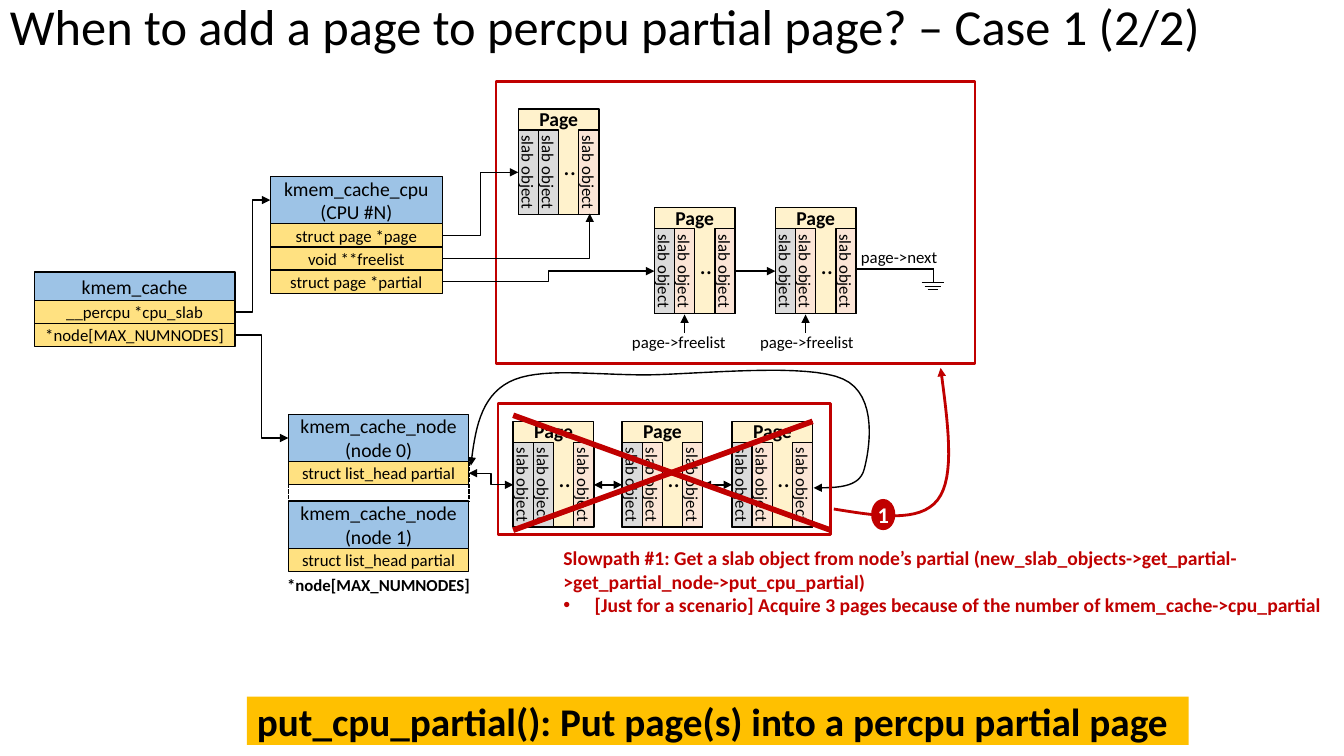
from lxml.etree import SubElement
from pptx import Presentation
from pptx.dml.color import RGBColor
from pptx.enum.dml import MSO_LINE
from pptx.enum.shapes import MSO_CONNECTOR, MSO_SHAPE
from pptx.enum.text import MSO_ANCHOR, PP_ALIGN
from pptx.oxml.ns import qn
from pptx.util import Inches, Pt

BLACK = RGBColor(0x00, 0x00, 0x00)
WHITE = RGBColor(0xFF, 0xFF, 0xFF)
RED = RGBColor(0xC0, 0x00, 0x00)
BLUE = RGBColor(0x9D, 0xC3, 0xE6)
YELLOW = RGBColor(0xFF, 0xE1, 0x81)
CREAM = RGBColor(0xFF, 0xF2, 0xCC)
GRAY = RGBColor(0xDB, 0xDB, 0xDB)
PEACH = RGBColor(0xFB, 0xE5, 0xD6)
AMBER = RGBColor(0xFF, 0xC0, 0x00)
ROW_HEIGHT = 0.23
PAGE_WIDTH, PAGE_HEIGHT = 0.8, 1.05
SLAB_WIDTH, SLAB_HEIGHT = 0.2, 0.84


def write(shape, text, size, color=BLACK, bold=False, align=PP_ALIGN.LEFT, insets=(0.1, 0.05)):
    """Fill a shape with text in a single style."""
    frame = shape.text_frame
    frame.word_wrap = True
    frame.margin_left = frame.margin_right = Inches(insets[0])
    frame.margin_top = frame.margin_bottom = Inches(insets[1])
    frame.text = text
    for paragraph in frame.paragraphs:
        paragraph.alignment = align
        for run in paragraph.runs:
            run.font.name = "Calibri"
            run.font.size = Pt(size)
            run.font.bold = bold
            run.font.color.rgb = color


def add_label(shapes, box, text, size, **style):
    """Add a text box."""
    label = shapes.add_textbox(*map(Inches, box))
    write(label, text, size, **style)
    return label


def add_box(shapes, box, fill=None, line=BLACK, width=1, kind=MSO_SHAPE.RECTANGLE):
    """Add a flat shape with an optional fill and outline."""
    shape = shapes.add_shape(kind, *map(Inches, box))
    shape.shadow.inherit = False
    shape.text_frame.vertical_anchor = MSO_ANCHOR.MIDDLE
    if fill is None:
        shape.fill.background()
    else:
        shape.fill.solid()
        shape.fill.fore_color.rgb = fill
    if line is None:
        shape.line.fill.background()
    else:
        shape.line.color.rgb = line
        shape.line.width = Pt(width)
    return shape


def add_arrowheads(shape, ends):
    """Put triangles on the named ends of a line."""
    outline = shape._element.spPr.find(qn("a:ln"))
    for end in ends:
        SubElement(outline, qn(f"a:{end}End"), type="triangle")


def add_line(shapes, start, end, ends=(), color=BLACK, width=1, kind=MSO_CONNECTOR.STRAIGHT,
             source=None, target=None):
    """Add a connector, joined to the right side of source and left side of target."""
    connector = shapes.add_connector(kind, *map(Inches, (*start, *end)))
    if source is not None:
        connector.begin_connect(source, 3)
    if target is not None:
        connector.end_connect(target, 1)
    connector.line.color.rgb = color
    connector.line.width = Pt(width)
    add_arrowheads(connector, ends)
    SubElement(connector._element.spPr, qn("a:effectLst"))
    return connector


def add_curve(shapes, start, segments, ends, color=BLACK, width=1, steps=16):
    """Draw a smooth open path through cubic segments of two controls and an end."""
    points = []
    corner = start
    for knots in segments:
        knots = (corner, *knots)
        for step in range(1, steps + 1):
            t = step / steps
            weights = ((1 - t) ** 3, 3 * t * (1 - t) ** 2, 3 * t ** 2 * (1 - t), t ** 3)
            points.append(tuple(Inches(sum(weight * knot[axis] for weight, knot in zip(weights, knots)))
                                for axis in (0, 1)))
        corner = knots[-1]
    builder = shapes.build_freeform(Inches(start[0]), Inches(start[1]))
    builder.add_line_segments(points, close=False)
    curve = builder.convert_to_shape()
    curve.shadow.inherit = False
    curve.fill.background()
    curve.line.color.rgb = color
    curve.line.width = Pt(width)
    add_arrowheads(curve, ends)


def add_struct(shapes, left, top, width, header_height, name, fields):
    """Stack a struct header over its fields and return all the boxes."""
    header = add_box(shapes, (left, top, width, header_height), BLUE)
    write(header, name, 14, align=PP_ALIGN.CENTER, insets=(0.01, 0.05))
    boxes = [header]
    for index, field in enumerate(fields):
        row_top = top + header_height + index * ROW_HEIGHT
        row = add_box(shapes, (left, row_top, width, ROW_HEIGHT), YELLOW)
        write(row, field, 12, align=PP_ALIGN.CENTER, insets=(0.05, 0.02))
        boxes.append(row)
    return boxes


def add_page(shapes, left, top, second_slab=PEACH):
    """Group one page with its title, three slab objects and dots."""
    page = shapes.add_group_shape().shapes
    add_box(page, (left, top, PAGE_WIDTH, PAGE_HEIGHT), CREAM)
    for column, fill in ((0, GRAY), (1, second_slab), (3, PEACH)):
        center_x = left + (column + 0.5) * SLAB_WIDTH
        center_y = top + PAGE_HEIGHT - SLAB_HEIGHT / 2
        slab = add_box(page, (center_x - SLAB_HEIGHT / 2, center_y - SLAB_WIDTH / 2,
                              SLAB_HEIGHT, SLAB_WIDTH), fill)
        slab.rotation = 90
        write(slab, "slab object", 12, align=PP_ALIGN.CENTER, insets=(0.05, 0))
    add_label(page, (left + 0.35, top + 0.36, 0.44, 0.4), "..", 18)
    add_label(page, (left + 0.11, top - 0.07, 0.61, 0.34), "Page", 14, bold=True)


def add_structs(shapes):
    """Draw the cache structs on the left, their links and their arrows to pages."""
    elbow = {"kind": MSO_CONNECTOR.ELBOW, "ends": ("tail",)}
    cache, cpu_slab, node_array = add_struct(
        shapes, 0.34, 2.7, 1.99, 0.28, "kmem_cache", ("__percpu *cpu_slab", "*node[MAX_NUMNODES]"))
    cpu, page, freelist, partial = add_struct(
        shapes, 2.68, 1.75, 1.71, 0.47, "kmem_cache_cpu\v(CPU #N)",
        ("struct page *page", "void **freelist", "struct page *partial"))
    nodes = [add_struct(shapes, 2.86, top, 1.79, 0.47, f"kmem_cache_node\v(node {number})",
                        ("struct list_head partial",))
             for number, top in enumerate((4.11, 4.97))]
    add_label(shapes, (2.68, 5.65, 2.15, 0.3), "*node[MAX_NUMNODES]", 12, bold=True,
              align=PP_ALIGN.CENTER)
    for x in (2.86, 4.65):
        edge = add_line(shapes, (x, 4.58), (x, 4.97))
        edge.line.dash_style = MSO_LINE.SQUARE_DOT
    add_line(shapes, (2.33, 3.1), (2.68, 1.99), source=cpu_slab, target=cpu, **elbow)
    add_line(shapes, (2.33, 3.33), (2.86, 4.35), source=node_array, target=nodes[0][0], **elbow)
    add_line(shapes, (4.39, 2.33), (5.14, 1.71), source=page, **elbow)
    add_line(shapes, (4.39, 2.79), (6.49, 2.69), source=partial, **elbow)
    corner = add_line(shapes, (4.39, 2.56), (5.85, 2.12), source=freelist, **elbow)
    corner._element.spPr.find(qn("a:prstGeom")).set("prst", "bentConnector2")
    add_line(shapes, (4.65, 4.69), (5.09, 4.81), ("head", "tail"), kind=MSO_CONNECTOR.ELBOW,
             source=nodes[0][1])


def add_percpu_pages(shapes, left, top):
    """Draw the framed per-CPU page and its partial list."""
    add_box(shapes, (left, top, 4.75, 2.8), line=RED, width=2)
    add_page(shapes, left + 0.22, top + 0.27, GRAY)
    for page_left, label_left in ((left + 1.57, 6.17), (left + 2.77, 7.44)):
        add_page(shapes, page_left, top + 1.25)
        pointer_x = page_left + 0.3
        add_line(shapes, (pointer_x, top + 2.49), (pointer_x, top + 2.31), ("tail",))
        add_label(shapes, (label_left, top + 2.43, 1.2, 0.3), "page->freelist", 12)
    add_line(shapes, (left + 2.37, top + 1.88), (left + 2.77, top + 1.88), ("tail",))
    add_line(shapes, (8.5, 2.67), (9.26, 2.67))
    add_label(shapes, (8.44, 2.4, 1.08, 0.3), "page->next", 12)
    ground = shapes.add_group_shape().shapes
    add_line(ground, (9.26, 2.67), (9.26, 2.8))
    for y, half in ((2.8, 0.11), (2.84, 0.08), (2.87, 0.05)):
        add_line(ground, (9.25 - half, y), (9.25 + half, y))


def add_node_pages(shapes, left, top):
    """Draw the framed and crossed-out partial list of node 0."""
    page_lefts = (left + 0.15, left + 1.23, left + 2.32)
    for page_left, second_slab in zip(page_lefts, (GRAY, PEACH, PEACH)):
        add_page(shapes, page_left, top + 0.18, second_slab)
    for page_left, next_left in zip(page_lefts, page_lefts[1:]):
        add_line(shapes, (page_left + PAGE_WIDTH, top + 0.81), (next_left, top + 0.81),
                 ("head", "tail"))
    add_box(shapes, (left, top, 3.3, 1.3), line=RED, width=2)
    add_line(shapes, (5.09, 5.26), (8.06, 4.18), color=RED, width=4)
    add_line(shapes, (5.09, 4.12), (8.24, 5.26), color=RED, width=4)


def add_slowpath(shapes):
    """Draw the numbered red arrow and its explanation."""
    add_curve(shapes, (8.27, 5.05), (((8.7, 5.12), (9.12, 5.19), (9.3, 4.96)),
                                     ((9.48, 4.73), (9.4, 4.19), (9.33, 3.65))),
              ("tail",), RED, 2)
    badge = add_box(shapes, (8.64, 4.95, 0.24, 0.31), RED, None, kind=MSO_SHAPE.OVAL)
    write(badge, "1", 16, WHITE, True, PP_ALIGN.CENTER, (0, 0))
    note = add_label(
        shapes, (5.49, 5.37, 7.79, 0.81),
        "Slowpath #1: Get a slab object from node’s partial "
        "(new_slab_objects->get_partial->get_partial_node->put_cpu_partial)\n"
        "[Just for a scenario] Acquire 3 pages because of the number of kmem_cache->cpu_partial",
        14, color=RED, bold=True)
    properties = note.text_frame.paragraphs[1]._p.get_or_add_pPr()
    properties.set("marL", str(Inches(0.31)))
    properties.set("indent", str(-Inches(0.31)))
    SubElement(properties, qn("a:buFont"), typeface="Arial")
    SubElement(properties, qn("a:buChar"), char="•")


def main():
    """Build the slide and save it."""
    presentation = Presentation()
    presentation.slide_width, presentation.slide_height = Inches(13.33), Inches(7.5)
    shapes = presentation.slides.add_slide(presentation.slide_layouts[6]).shapes
    title = add_label(shapes, (0, -0.09, 13.41, 0.75),
                      "When to add a page to percpu partial page? – Case 1 (2/2)", 36)
    title.text_frame.vertical_anchor = MSO_ANCHOR.MIDDLE
    title.text_frame.paragraphs[0].line_spacing = 0.9
    add_curve(shapes, (8.07, 4.84), (((8.3, 4.84), (8.52, 4.84), (8.57, 4.66)),
                                     ((8.62, 4.48), (8.72, 3.92), (8.36, 3.76)),
                                     ((8.01, 3.6), (6.97, 3.71), (6.42, 3.72)),
                                     ((5.86, 3.72), (5.34, 3.64), (5.05, 3.79)),
                                     ((4.76, 3.94), (4.71, 4.28), (4.67, 4.62))),
              ("head", "tail"))
    add_percpu_pages(shapes, 4.92, 0.81)
    add_node_pages(shapes, 4.94, 4)
    add_structs(shapes)
    add_slowpath(shapes)
    banner = add_box(shapes, (2.45, 6.91, 9.34, 0.48), AMBER, None)
    write(banner, "put_cpu_partial(): Put page(s) into a percpu partial page", 28, bold=True)
    presentation.save("out.pptx")


if __name__ == "__main__":
    main()
